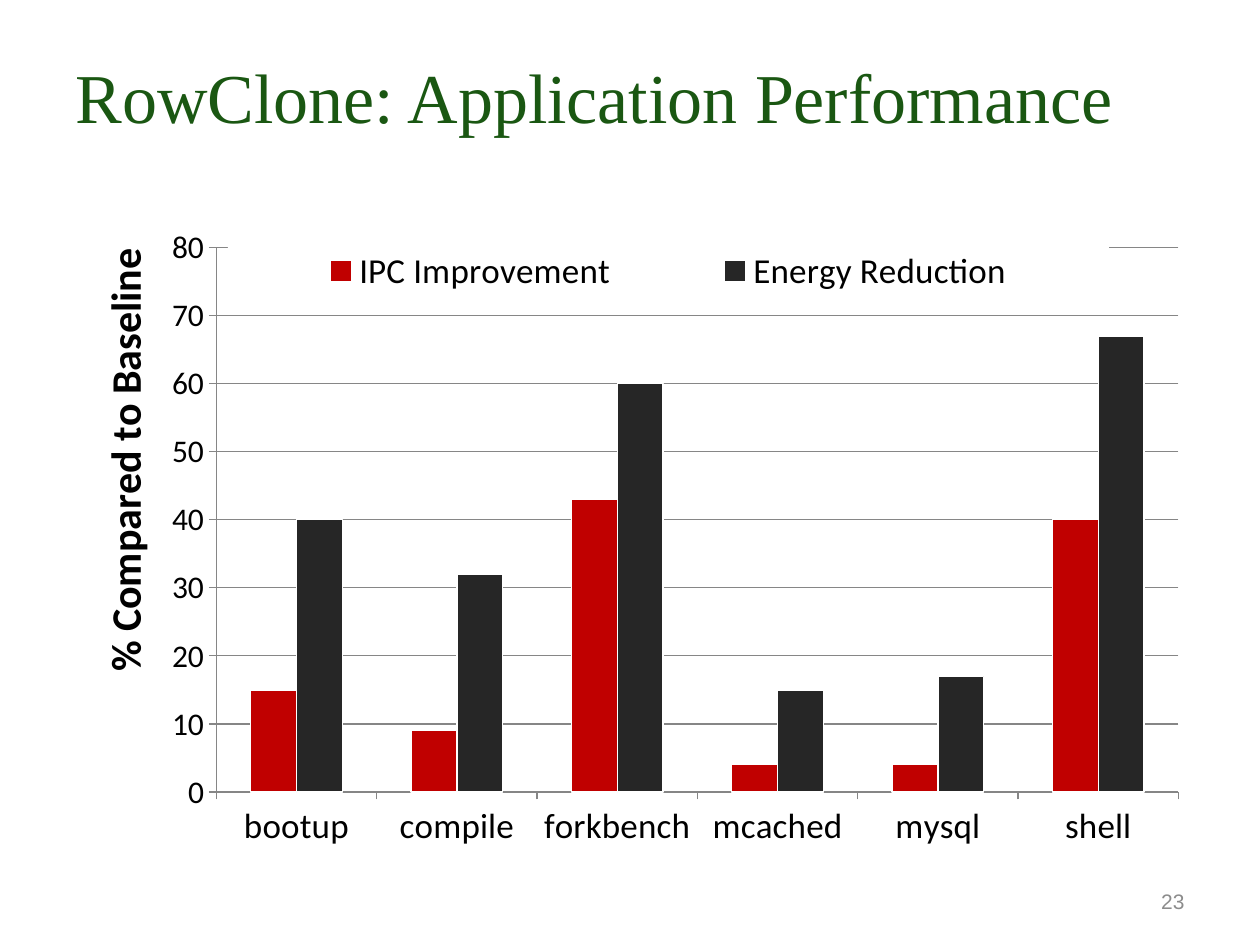
"""Build the RowClone application performance slide."""
import pptx
import pptx.chart.data
import pptx.dml.color
import pptx.enum.chart
import pptx.enum.text
import pptx.oxml
import pptx.util
from pptx.oxml.ns import nsdecls, qn
from pptx.util import Cm

THEME = {
    "title": ("Times New Roman", 40, "1A5712"),
    "page": ("Arial", 12, "8C8C8C"),
    "chart": ("Calibri", 18, "000000"),
    "label": ("Calibri", 20, "000000"),
    "axis": ("Calibri", 24, "000000"),
    "bars": ("C00000", "262626"),
    "line": "868686",
    "back": "FFFFFF",
}


def style(font, key):
    font.name, size, color = THEME[key]
    font.size = pptx.util.Pt(size)
    font.color.rgb = pptx.dml.color.RGBColor.from_string(color)


def place(node, index, inner=False, **parts):
    for old in node.findall(qn("c:layout")):
        node.remove(old)
    target = '<c:layoutTarget val="inner"/>' if inner else ""
    modes = '<c:xMode val="edge"/><c:yMode val="edge"/>'
    sizes = "".join(f'<c:{name} val="{part}"/>' for name, part in parts.items())
    node.insert(index, pptx.oxml.parse_xml(
        f'<c:layout {nsdecls("c")}><c:manualLayout>{target}{modes}{sizes}'
        "</c:manualLayout></c:layout>"))


deck = pptx.Presentation()
deck.slide_width, deck.slide_height = Cm(25.4), Cm(19.05)
slide = deck.slides.add_slide(deck.slide_layouts[5])
rgb = pptx.dml.color.RGBColor.from_string
align = pptx.enum.text.PP_ALIGN

title = slide.shapes.title
title.left, title.top, title.width, title.height = Cm(1.27), Cm(0.33), Cm(22.86), Cm(3.18)
page = slide.shapes.add_textbox(Cm(18.21), Cm(17.65), Cm(5.92), Cm(1.02))
for box, text, key, side in (
    (title, "RowClone: Application Performance", "title", align.LEFT),
    (page, "23", "page", align.RIGHT),
):
    frame = box.text_frame
    frame.text = text
    frame.word_wrap = True
    frame.vertical_anchor = pptx.enum.text.MSO_ANCHOR.MIDDLE
    frame.paragraphs[0].alignment = side
    style(frame.paragraphs[0].runs[0].font, key)

data = pptx.chart.data.CategoryChartData()
data.categories = ["bootup", "compile", "forkbench", "mcached", "mysql", "shell"]
data.add_series("IPC Improvement", (15, 9, 43, 4, 4, 40))
data.add_series("Energy Reduction", (40, 32, 60, 15, 17, 67))
chart = slide.shapes.add_chart(
    pptx.enum.chart.XL_CHART_TYPE.COLUMN_CLUSTERED,
    Cm(1.09), Cm(4.32), Cm(23.37), Cm(13.39), data).chart
chart.has_title = False
style(chart.font, "chart")

plot = chart.plots[0]
plot.gap_width, plot.overlap = 150, 0
plot.vary_by_categories = False
for bars, color in zip(plot.series, THEME["bars"]):
    bars.format.fill.solid()
    bars.format.fill.fore_color.rgb = rgb(color)
    bars.format.line.color.rgb = rgb(THEME["back"])
    bars.format.line.width = pptx.util.Pt(0.75)
place(chart._chartSpace.chart.plotArea, 0, True, x=0.14, y=0.05, w=0.83, h=0.82)

cats, vals = chart.category_axis, chart.value_axis
style(cats.tick_labels.font, "label")
vals.minimum_scale, vals.maximum_scale, vals.major_unit = 0, 80, 10
vals.has_major_gridlines = True
for item in (cats, vals, vals.major_gridlines):
    item.format.line.color.rgb = rgb(THEME["line"])
    item.format.line.width = pptx.util.Pt(0.75)
for axis in (cats, vals):
    axis.major_tick_mark = pptx.enum.chart.XL_TICK_MARK.OUTSIDE

frame = vals.axis_title.text_frame
frame.text = "% Compared to Baseline"
font = frame.paragraphs[0].runs[0].font
style(font, "axis")
font.bold = True
body = frame._txBody.find(qn("a:bodyPr"))
body.set("rot", "-5400000")
body.set("vert", "horz")
place(vals.axis_title._element, 1, x=0.03, y=0.04)

chart.has_legend = True
legend = chart.legend
legend.position = pptx.enum.chart.XL_LEGEND_POSITION.RIGHT
legend.include_in_layout = True
style(legend.font, "label")
place(legend._element, 1, x=0.15, y=0.04, w=0.76, h=0.09)
legend._element.find(qn("c:txPr")).addprevious(pptx.oxml.parse_xml(
    f'<c:spPr {nsdecls("c", "a")}><a:solidFill><a:srgbClr val="{THEME["back"]}"/>'
    "</a:solidFill></c:spPr>"))

deck.save("out.pptx")
